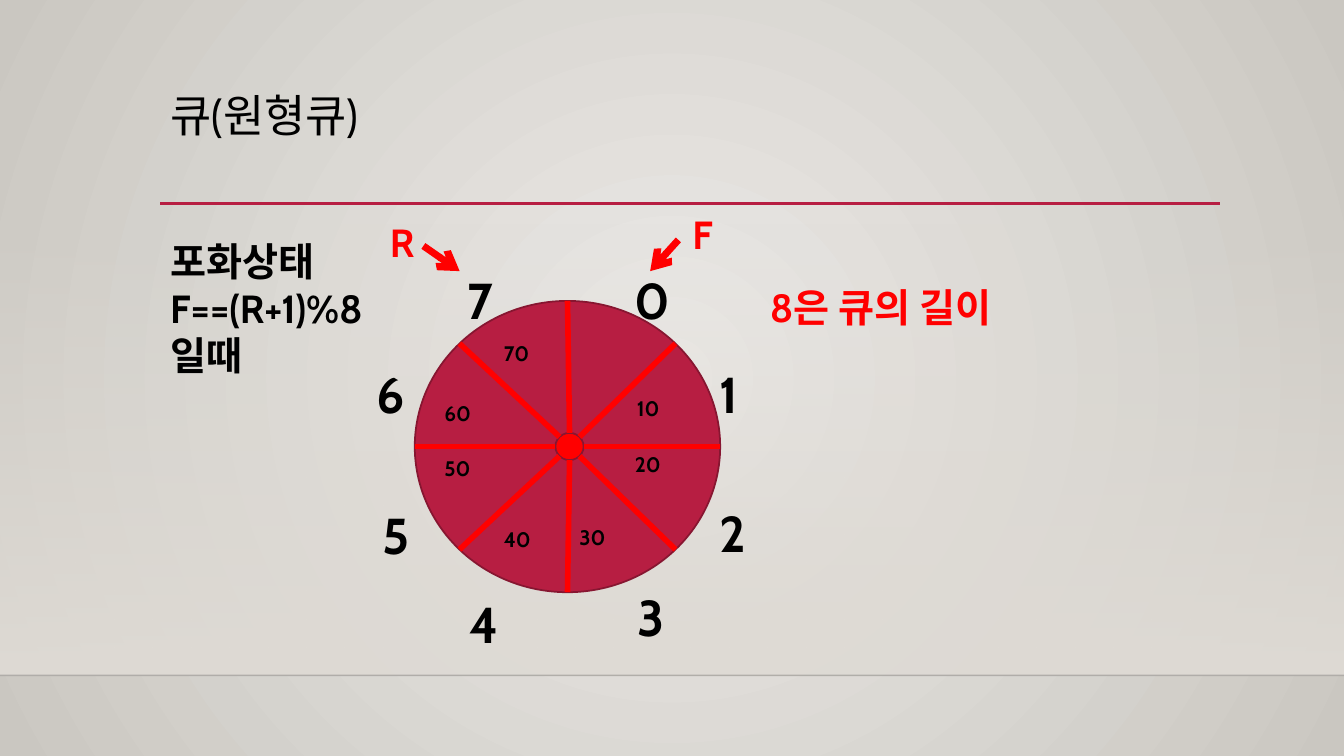
from math import cos, radians, sin

from lxml.etree import SubElement
from pptx import Presentation
from pptx.dml.color import RGBColor
from pptx.enum.shapes import MSO_CONNECTOR, MSO_SHAPE
from pptx.enum.text import MSO_ANCHOR, MSO_AUTO_SIZE, PP_ALIGN
from pptx.oxml import parse_xml
from pptx.oxml.ns import nsdecls, qn
from pptx.util import Inches, Pt

CELL = Inches(0.1)
COLS, ROWS = 133.33, 75

BLACK = RGBColor(0x00, 0x00, 0x00)
RED = RGBColor(0xFF, 0x00, 0x00)
CRIMSON = RGBColor(0xB7, 0x1E, 0x42)
MAROON = RGBColor(0x87, 0x16, 0x31)
FLOOR = RGBColor(0x00, 0x00, 0x01)
LIGHT = RGBColor(0xEC, 0xEA, 0xE7)
SHADE = RGBColor(0xCA, 0xC7, 0xC1)
WALL = RGBColor(0xDF, 0xDB, 0xD5)


def set_gradient(fill, element, stops, direction):
    fill.gradient()
    old = element.find(".//" + qn("a:gradFill"))
    gs = "".join(
        f'<a:gs pos="{pos * 1000}"><a:srgbClr val="{color}">'
        f'<a:alpha val="{alpha * 1000}"/></a:srgbClr></a:gs>'
        for pos, color, alpha in stops)
    old.getparent().replace(old, parse_xml(
        f'<a:gradFill {nsdecls("a")} rotWithShape="1">'
        f'<a:gsLst>{gs}</a:gsLst>{direction}</a:gradFill>'))


def add_text(x, y, w, h, lines, size, color=BLACK, bold=True, spacing=1.0):
    sp = s.shapes.add_textbox(*(round(v * CELL) for v in (x, y, w, h)))
    tf = sp.text_frame
    frame = {"word_wrap": True, "vertical_anchor": MSO_ANCHOR.TOP,
             "auto_size": MSO_AUTO_SIZE.SHAPE_TO_FIT_TEXT}
    for name, value in frame.items():
        setattr(tf, name, value)
    for i, line in enumerate(lines):
        p = tf.paragraphs[0] if i == 0 else tf.add_paragraph()
        p.alignment = PP_ALIGN.LEFT
        p.line_spacing = spacing
        r = p.add_run()
        r.text = line
        for name, value in {"name": "Cabin", "size": Pt(size), "bold": bold}.items():
            setattr(r.font, name, value)
        r.font.color.rgb = color


prs = Presentation()
prs.slide_width = round(COLS * CELL)
prs.slide_height = ROWS * CELL
s = prs.slides.add_slide(prs.slide_layouts[6])

set_gradient(s.background.fill, s.element, [(0, LIGHT, 100), (100, SHADE, 100)],
             '<a:path path="circle"><a:fillToRect l="50000" t="50000" '
             'r="50000" b="50000"/></a:path>')

wall = s.shapes.add_shape(MSO_SHAPE.RECTANGLE, 0, round(22.1 * CELL),
                          prs.slide_width, round(44.9 * CELL))
wall.shadow.inherit = False
wall.line.fill.background()
set_gradient(wall.fill, wall.element, [(0, WALL, 0), (100, WALL, 100)],
             '<a:lin ang="5400000" scaled="0"/>')

add_text(15.9, 8.8, 105, 11.5, ["큐(원형큐)"], 32, bold=False, spacing=0.9)
add_text(15.9, 23, 26.8, 15.1, ["포화상태", "F==(R+1)%8", "일때"], 28)

wheel = (56.3, 44.3, 15.15, 14.45)
hub = (56.5, 44.3, 1.4, 1.35)
for (cx, cy, rx, ry), color in ((wheel, CRIMSON), (hub, RED)):
    sp = s.shapes.add_shape(
        MSO_SHAPE.OVAL,
        *(round(v * CELL) for v in (cx - rx, cy - ry, 2 * rx, 2 * ry)))
    sp.shadow.inherit = False
    sp.fill.solid()
    sp.fill.fore_color.rgb = color
    sp.line.color.rgb = MAROON
    sp.line.width = Pt(1.25)

lines = [(0, 67, COLS, 67, FLOOR, 1, 20, False),
         (15.9, 20.2, 121, 20.2, CRIMSON, 2.5, 100, False)]
for angle in range(0, 360, 45):
    ends = [v for cx, cy, rx, ry in (hub, wheel)
            for v in (cx + rx * cos(radians(angle)), cy + ry * sin(radians(angle)))]
    lines.append((*ends, RED, 4, 100, False))
lines += [(67.3, 23.8, 64.5, 26.9, RED, 5, 100, True),
          (42, 24.4, 45.6, 26.9, RED, 5, 100, True)]

for *ends, color, width, alpha, arrow in lines:
    c = s.shapes.add_connector(MSO_CONNECTOR.STRAIGHT, *(round(v * CELL) for v in ends))
    c.line.color.rgb = color
    c.line.width = Pt(width)
    ln = c.line._get_or_add_ln()
    if alpha < 100:
        SubElement(ln.find(".//" + qn("a:srgbClr")), qn("a:alpha"), val=str(alpha * 1000))
    if arrow:
        SubElement(ln, qn("a:tailEnd"), type="arrow")
    SubElement(c.element.spPr, qn("a:effectLst"))

index_spots = [(62, 26.2), (70.4, 35.5), (70.4, 49.3), (62.3, 57.7),
               (45.6, 58.3), (37, 49.5), (36.4, 35.5), (45.4, 26.2)]
for index, (x, y) in enumerate(index_spots):
    add_text(x, y, 5, 7.1, [str(index)], 36)

value_spots = [(62.2, 38.7), (62, 44.3), (56.5, 51.5), (49, 51.7),
               (43.1, 44.7), (43.1, 39.2), (49, 33.3)]
for n, (x, y) in enumerate(value_spots, 1):
    add_text(x, y, 7.3, 3.5, [str(n * 10)], 15)

for x, y, w, label in ((67.7, 20.4, 9.6, "F"), (37.7, 21.2, 6.3, "R"),
                       (75.4, 27.6, 28.7, "8은 큐의 길이")):
    add_text(x, y, w, 5.7, [label], 28, RED)

prs.save("out.pptx")
